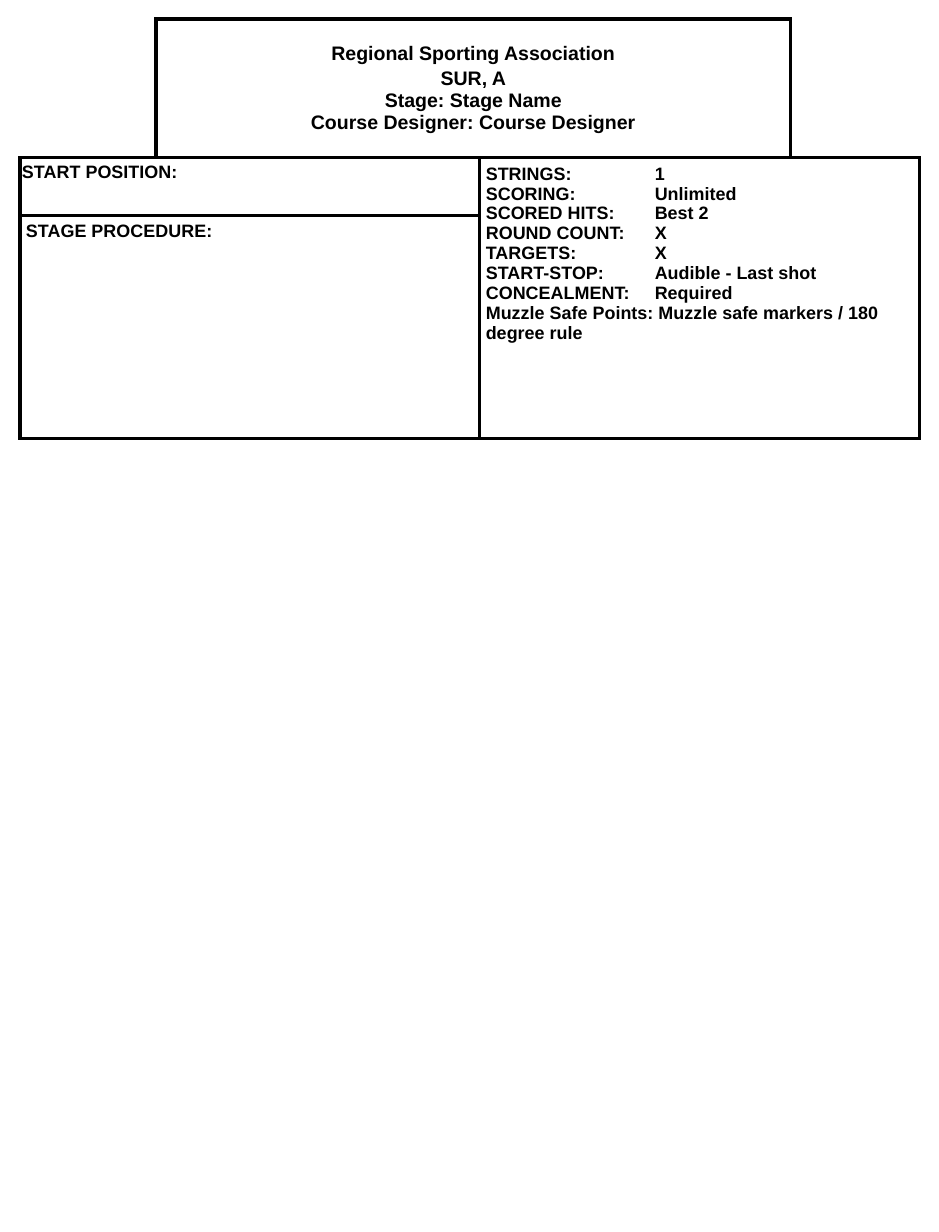
import pptx
import pptx.util
import pptx.dml.color
import pptx.enum.text
import pptx.oxml
import pptx.oxml.ns

PX = 914400 / 117.4
A = pptx.oxml.ns.nsdecls("a")


def px(n):
    return pptx.util.Emu(round(n * PX))


def color(value):
    return pptx.dml.color.RGBColor.from_string(value)


prs = pptx.Presentation()
prs.slide_width, prs.slide_height = pptx.util.Inches(8), pptx.util.Inches(10.5)
s = prs.slides.add_slide(prs.slide_layouts[6])

# Table grid
widths = [136, 324, 311, 129]
heights = [139, 58, 223]
tbl = s.shapes.add_table(3, 4, px(20), px(19), px(sum(widths)), px(sum(heights))).table
tbl.first_row = tbl.horz_banding = False
for col, w in zip(tbl.columns, widths):
    col.width = px(w)
for row, h in zip(tbl.rows, heights):
    row.height = px(h)

# Fills and borders; the top corners stay open on their outer sides
for i in range(3):
    for j in range(4):
        cell = tbl.cell(i, j)
        cell.fill.solid()
        cell.fill.fore_color.rgb = color("FFFFFF")
        sides = {(0, 0): "RB", (0, 3): "LB"}.get((i, j), "LRTB")
        tcPr = cell._tc.get_or_add_tcPr()
        for n, side in enumerate("LRTB"):
            paint = '<a:solidFill><a:srgbClr val="000000"/></a:solidFill>' if side in sides else "<a:noFill/>"
            tcPr.insert(n, pptx.oxml.parse_xml(f'<a:ln{side} {A} w="28575">{paint}</a:ln{side}>'))

# Merged areas
tbl.cell(0, 1).merge(tbl.cell(0, 2))
tbl.cell(1, 0).merge(tbl.cell(1, 1))
tbl.cell(2, 0).merge(tbl.cell(2, 1))
tbl.cell(1, 2).merge(tbl.cell(2, 3))

# Text: row, column, size, side inset, top inset, paragraphs
details = [
    "STRINGS:\t1",
    "SCORING:\tUnlimited",
    "SCORED HITS:\tBest 2",
    "ROUND COUNT:\tX",
    "TARGETS:\tX",
    "START-STOP:\tAudible - Last shot",
    "CONCEALMENT:\tRequired",
    "Muzzle Safe Points: Muzzle safe markers / 180 degree rule",
]
title = ["Regional Sporting Association", "SUR, A\nStage: Stage Name\nCourse Designer: Course Designer"]
texts = [
    (0, 1, 12, 6, 6, title),
    (1, 0, 11, 2, 4, ["START POSITION:"]),
    (1, 2, 11, 6, 6, details),
    (2, 0, 11, 6, 6, ["STAGE PROCEDURE:"]),
]
for i, j, size, side, top, paragraphs in texts:
    cell = tbl.cell(i, j)
    cell.margin_left = cell.margin_right = px(side)
    cell.margin_top = cell.margin_bottom = px(top)
    tf = cell.text_frame
    for n, text in enumerate(paragraphs):
        p = tf.add_paragraph() if n else tf.paragraphs[0]
        if "\t" in text:
            p._p.get_or_add_pPr().append(pptx.oxml.parse_xml(
                f'<a:tabLst {A}><a:tab pos="{px(169)}" algn="l"/></a:tabLst>'))
        for k, line in enumerate(text.split("\n")):
            if k:
                p.add_line_break()
            r = p.add_run()
            r.text = line
            r.font.name = "Arial"
            r.font.size = pptx.util.Pt(size)
            r.font.bold = True
            r.font.color.rgb = color("000000")

# Centred title
cell = tbl.cell(0, 1)
cell.vertical_anchor = pptx.enum.text.MSO_ANCHOR.MIDDLE
for p in cell.text_frame.paragraphs:
    p.alignment = pptx.enum.text.PP_ALIGN.CENTER
cell.text_frame.paragraphs[1].space_before = pptx.util.Pt(2)

prs.save("out.pptx")
